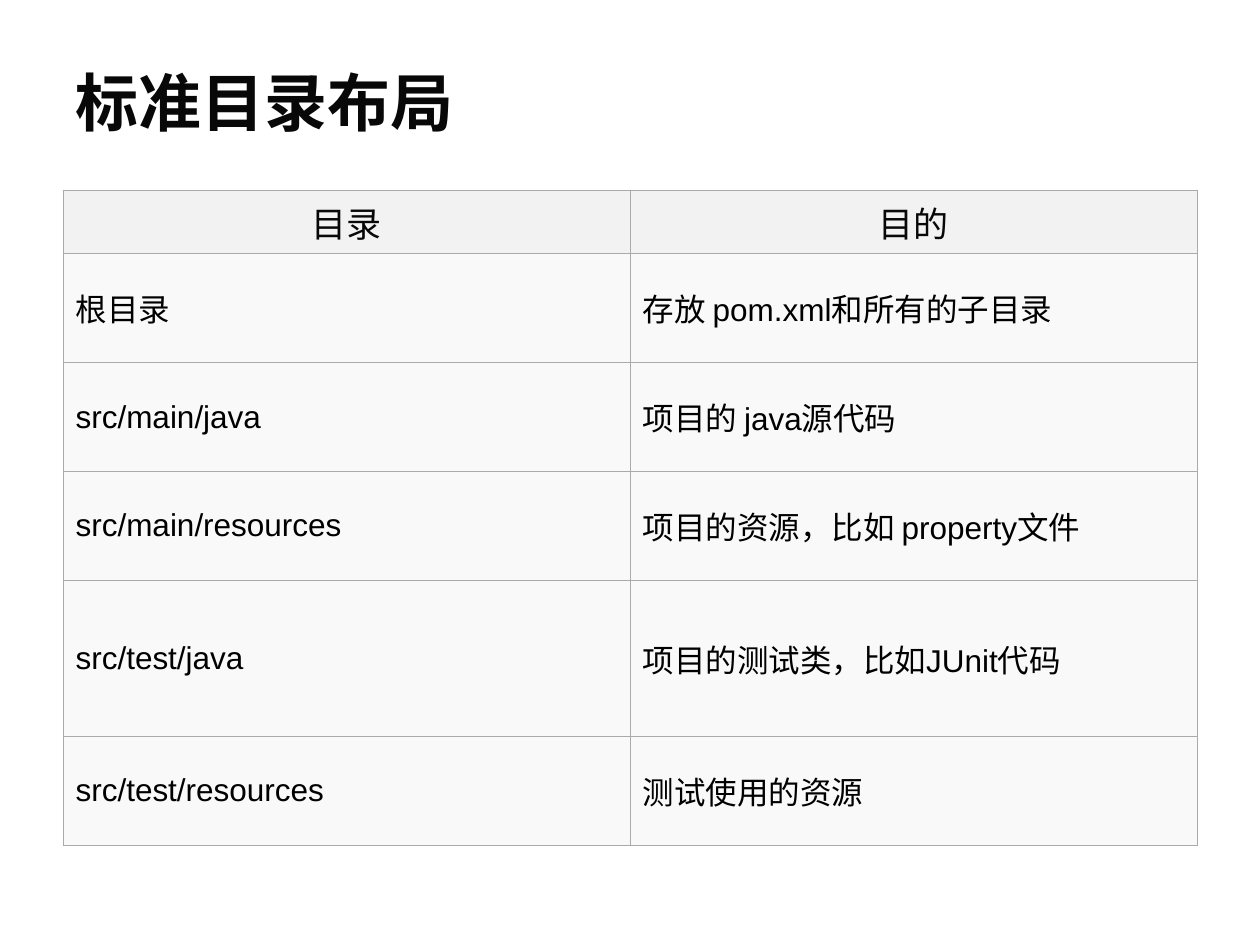
import pptx
import pptx.util
import pptx.dml.color
import pptx.enum.text
import pptx.oxml
import pptx.oxml.ns

Pt = pptx.util.Pt
Align = pptx.enum.text.PP_ALIGN
Middle = pptx.enum.text.MSO_ANCHOR.MIDDLE

ROWS = [
    ("目录", "目的"),
    ("根目录", "存放 pom.xml和所有的子目录"),
    ("src/main/java", "项目的 java源代码"),
    ("src/main/resources", "项目的资源，比如 property文件"),
    ("src/test/java", "项目的测试类，比如JUnit代码"),
    ("src/test/resources", "测试使用的资源"),
]
HEIGHTS = [36.4, 62.3, 62.3, 62.3, 89.1, 62.3]


def color(code):
    return pptx.dml.color.RGBColor.from_string(code)


def write(frame, text, size, code, align=Align.LEFT, bold=False):
    para = frame.paragraphs[0]
    para.alignment = align
    run = para.add_run()
    run.text = text
    run.font.name = "Arial"
    run.font.size = Pt(size)
    run.font.bold = bold
    run.font.color.rgb = color(code)


def border(cell, code, width):
    props = cell._tc.get_or_add_tcPr()
    for index, side in enumerate(("lnL", "lnR", "lnT", "lnB")):
        line = pptx.oxml.parse_xml(
            f'<a:{side} {pptx.oxml.ns.nsdecls("a")} w="{Pt(width)}">'
            f'<a:solidFill><a:srgbClr val="{code}"/></a:solidFill></a:{side}>'
        )
        props.insert(index, line)


def add_title(slide, left, top, width, height):
    box = slide.shapes.add_textbox(Pt(left), Pt(top), Pt(width), Pt(height))
    frame = box.text_frame
    frame.word_wrap = True
    frame.vertical_anchor = Middle
    write(frame, "标准目录布局", 36, "080808", bold=True)


def add_grid(slide, left, top, width):
    count = len(ROWS[0])
    table = slide.shapes.add_table(
        len(ROWS), count, Pt(left), Pt(top), Pt(width), Pt(sum(HEIGHTS))
    ).table
    for col in table.columns:
        col.width = Pt(width / count)
    for r, (texts, height) in enumerate(zip(ROWS, HEIGHTS)):
        table.rows[r].height = Pt(height)
        if r == 0:
            fill, style = "F2F2F2", (20, "080808", Align.CENTER)
        else:
            fill, style = "F9F9F9", (18, "000000", Align.LEFT)
        for c, text in enumerate(texts):
            cell = table.cell(r, c)
            cell.fill.solid()
            cell.fill.fore_color.rgb = color(fill)
            cell.vertical_anchor = Middle
            border(cell, "AAAAAA", 0.34)
            write(cell.text_frame, text, *style)


def main():
    deck = pptx.Presentation()
    deck.slide_width, deck.slide_height = Pt(720), Pt(540)
    slide = deck.slides.add_slide(deck.slide_layouts[6])
    add_title(slide, 36, 21.6, 648, 72.7)
    add_grid(slide, 36, 108.5, 648)
    deck.save("out.pptx")


if __name__ == "__main__":
    main()
